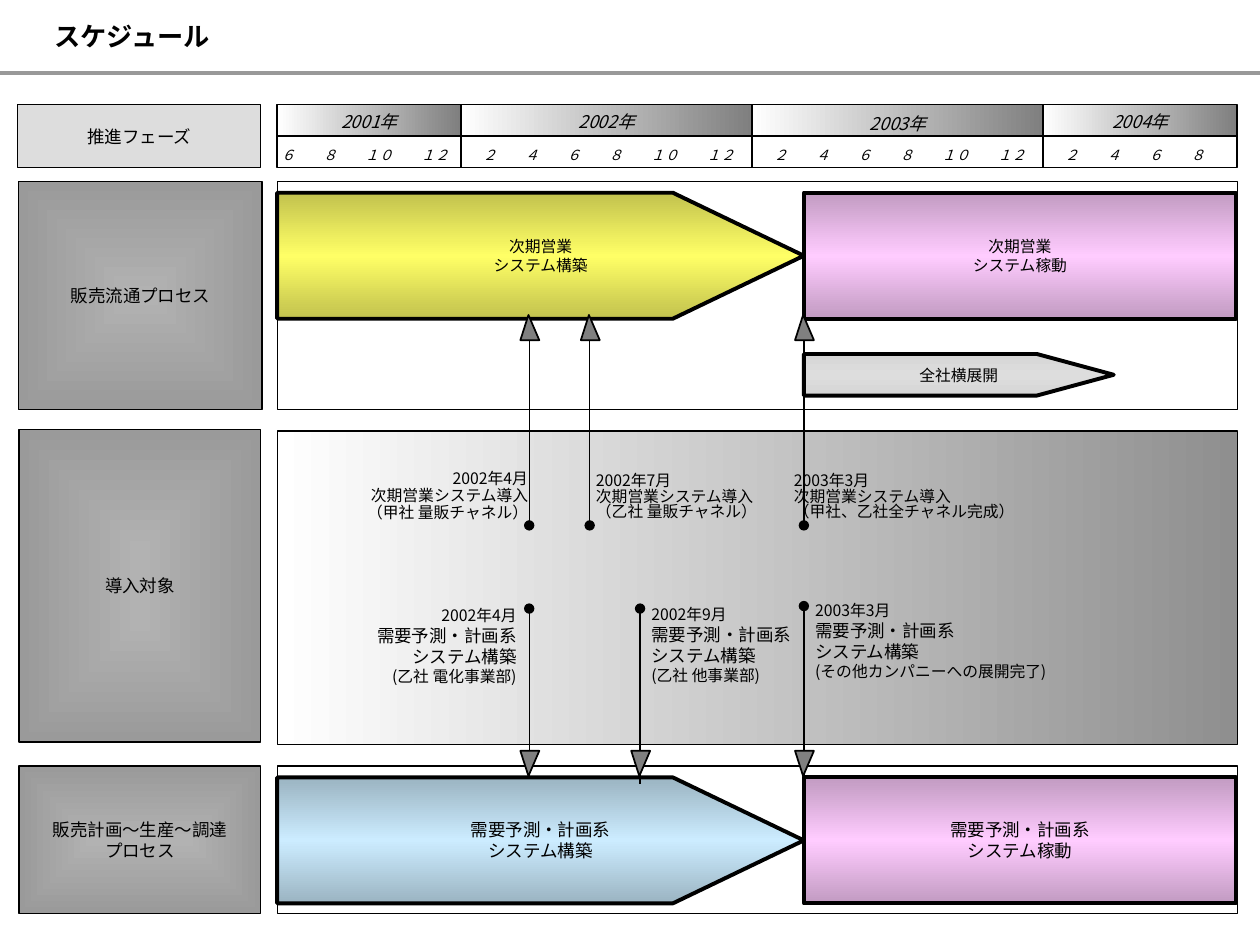
"""Build the schedule slide: phases, rollout targets and milestones on a 2001-2004 time axis."""
from dataclasses import dataclass
from typing import Optional

from lxml.etree import SubElement
from pptx import Presentation
from pptx.dml.color import RGBColor
from pptx.enum.shapes import MSO_CONNECTOR as Connector, MSO_SHAPE as Preset
from pptx.enum.text import MSO_ANCHOR as Anchor, MSO_AUTO_SIZE as AutoSize, PP_ALIGN as Align
from pptx.oxml.ns import qn
from pptx.util import Inches, Pt


@dataclass(frozen=True)
class Fill:
    colours: tuple[str, ...]
    angle: int = 0
    from_centre: bool = False


@dataclass(frozen=True)
class Theme:
    sans: str = "Noto Sans CJK JP"
    serif: str = "Times New Roman"
    ink: str = "000000"
    rule: str = "999999"
    white: Fill = Fill(("FFFFFF",))
    phase: Fill = Fill(("DDDDDD",))
    marker: Fill = Fill(("808080",))
    year: Fill = Fill(("FFFFFF", "7F7F7F"))
    target: Fill = Fill(("FFFFFF", "8F8F8F"))
    process: Fill = Fill(("B2B2B2", "9A9A9A"), from_centre=True)
    running: Fill = Fill(("C29BC2", "FFCCFF", "C29BC2"), 90)
    sales: Fill = Fill(("C2C24E", "FFFF66", "C2C24E"), 90)
    demand: Fill = Fill(("9BB4C2", "CCECFF", "9BB4C2"), 90)
    rollout: Fill = Fill(("D6D6D6", "DDDDDD", "D6D6D6"), 90)
    title_size: float = 15
    large: float = 10
    small: float = 9
    month: float = 8
    thin: float = 0.75
    cell: float = 1
    thick: float = 2.25


THEME = Theme()
AXIS_LEFT, AXIS_WIDTH, GO_LIVE = 2.2, 7.62, 6.38
MARGINS = (0.09, 0.05, 0.09, 0.05)


@dataclass(frozen=True)
class Box:
    left: float
    top: float
    width: float
    height: float
    fill: Fill
    lines: tuple[str, ...] = ()
    size: float = THEME.large
    border: float = THEME.thin
    shoulder: Optional[float] = None


@dataclass(frozen=True)
class Year:
    name: str
    left: float
    width: float
    months: tuple[str, ...]
    indent: float = 0.17
    height: float = 0.25


@dataclass(frozen=True)
class Label:
    left: float
    top: float
    width: float
    height: float
    lines: tuple[str, ...]
    sizes: tuple[float, ...]
    spacings: tuple[float, ...]
    align: Align = Align.LEFT


@dataclass(frozen=True)
class Milestone:
    x: float
    dot: float
    tip: float
    upward: bool


UPPER_SIZES = (THEME.small,) * 3
LOWER_SIZES = (THEME.small, THEME.large, THEME.large, THEME.small)
UPPER_SPACING, LOWER_SPACING = (1, 0.8, 0.8), (0.9, 1, 1, 1)

BOXES = (
    Box(AXIS_LEFT, 1.44, AXIS_WIDTH, 1.81, THEME.white),
    Box(AXIS_LEFT, 3.42, AXIS_WIDTH, 2.49, THEME.target),
    Box(AXIS_LEFT, 6.08, AXIS_WIDTH, 1.17, THEME.white),
    Box(0.14, 0.83, 1.93, 0.5, THEME.phase, ("推進フェーズ",)),
    Box(0.15, 1.44, 1.93, 1.81, THEME.process, ("販売流通プロセス",)),
    Box(0.15, 3.41, 1.92, 2.48, THEME.process, ("導入対象",)),
    Box(0.15, 6.08, 1.92, 1.17, THEME.process, ("販売計画～生産～調達", "プロセス")),
    Box(GO_LIVE, 1.53, 3.43, 1, THEME.running, ("次期営業", "システム稼動"), THEME.small, THEME.thick),
    Box(GO_LIVE, 6.17, 3.43, 1, THEME.running, ("需要予測・計画系", "システム稼動"), border=THEME.thick),
    Box(AXIS_LEFT, 6.17, 4.18, 1, THEME.demand, ("需要予測・計画系", "システム構築"),
        border=THEME.thick, shoulder=3.14),
    Box(AXIS_LEFT, 1.53, 4.18, 1, THEME.sales, ("次期営業", "システム構築"),
        THEME.small, THEME.thick, 3.14),
    Box(GO_LIVE, 2.81, 2.46, 0.33, THEME.rollout, ("全社横展開",), THEME.small, THEME.thick, 1.85),
)
FULL_YEAR = ("２", "４", "６", "８", "１０", "１２")
YEARS = (
    Year("2001年", AXIS_LEFT, 1.46, ("６", "８", "１０", "１２"), 0.03),
    Year("2002年", 3.66, 2.31, FULL_YEAR),
    Year("2003年", 5.97, 2.31, FULL_YEAR, height=0.28),
    Year("2004年", 8.28, 1.54, FULL_YEAR[:4]),
)
LABELS = (
    Label(2.69, 3.69, 1.59, 0.5, ("2002年4月", "次期営業システム導入", "（甲社 量販チャネル）"),
          UPPER_SIZES, (0.9,) * 3, Align.RIGHT),
    Label(4.64, 3.69, 1.53, 0.49, ("2002年7月", "次期営業システム導入", "（乙社 量販チャネル）"),
          UPPER_SIZES, UPPER_SPACING),
    Label(6.21, 3.69, 2.12, 0.49, ("2003年3月", "次期営業システム導入", "（甲社、乙社全チャネル完成）"),
          UPPER_SIZES, UPPER_SPACING),
    Label(2.75, 4.78, 1.44, 0.71, ("2002年4月", "需要予測・計画系", "システム構築", "(乙社 電化事業部)"),
          LOWER_SIZES, LOWER_SPACING, Align.RIGHT),
    Label(5.08, 4.77, 1.46, 0.71, ("2002年9月", "需要予測・計画系", "システム構築", "(乙社 他事業部)"),
          LOWER_SIZES, LOWER_SPACING),
    Label(GO_LIVE, 4.74, 2.37, 0.71,
          ("2003年3月", "需要予測・計画系", "システム構築", "(その他カンパニーへの展開完了)"),
          LOWER_SIZES, LOWER_SPACING),
)
MILESTONES = (
    *(Milestone(x, 4.17, 2.69, True) for x in (4.2, 4.68, GO_LIVE)),
    Milestone(4.2, 4.83, 6.18, False),
    Milestone(5.08, 4.83, 6.22, False),
    Milestone(GO_LIVE, 4.81, 6.22, False),
)


def style_paragraph(paragraph, size, face=THEME.sans, align=Align.CENTER, spacing=1.0, **emphasis) -> None:
    """Set alignment, line spacing and font of one paragraph."""
    paragraph.alignment, paragraph.line_spacing = align, spacing
    font = paragraph.font
    font.size, font.name = Pt(size), face
    font.color.rgb = RGBColor.from_string(THEME.ink)
    for trait, value in emphasis.items():
        setattr(font, trait, value)
    defaults = paragraph._p.pPr.find(qn("a:defRPr"))
    SubElement(defaults, qn("a:ea"), typeface=THEME.sans)


def set_frame(frame, margins=(0, 0, 0, 0), anchor=Anchor.MIDDLE) -> None:
    """Set insets, wrapping and anchor of a text frame."""
    frame.word_wrap, frame.auto_size, frame.vertical_anchor = True, AutoSize.NONE, anchor
    frame.margin_left, frame.margin_top, frame.margin_right, frame.margin_bottom = map(Inches, margins)


def paint(shape, fill: Fill, border: float) -> None:
    """Give a shape its outline and its solid or gradient fill."""
    shape.shadow.inherit = False
    shape.line.color.rgb, shape.line.width = RGBColor.from_string(THEME.ink), Pt(border)
    shape.fill.solid()
    shape.fill.fore_color.rgb = RGBColor.from_string(fill.colours[0])
    if len(fill.colours) == 1:
        return
    properties = shape._element.spPr
    solid = properties.find(qn("a:solidFill"))
    gradient = SubElement(properties, qn("a:gradFill"), rotWithShape="1")
    properties.replace(solid, gradient)
    stops = SubElement(gradient, qn("a:gsLst"))
    for index, colour in enumerate(fill.colours):
        position = index * 100000 // (len(fill.colours) - 1)
        stop = SubElement(stops, qn("a:gs"), pos=str(position))
        SubElement(stop, qn("a:srgbClr"), val=colour)
    if fill.from_centre:
        shade = SubElement(gradient, qn("a:path"), path="rect")
        SubElement(shade, qn("a:fillToRect"), {side: "50000" for side in "ltrb"})
    else:
        SubElement(gradient, qn("a:lin"), ang=str(fill.angle * 60000), scaled="0")


def draw_box(slide, box: Box):
    """Draw a rectangle, or an arrow band when a shoulder is given, with centred lines."""
    left, top, width, height = map(Inches, (box.left, box.top, box.width, box.height))
    if box.shoulder is None:
        shape = slide.shapes.add_shape(Preset.RECTANGLE, left, top, width, height)
    else:
        neck = left + Inches(box.shoulder)
        outline = slide.shapes.build_freeform(left, top)
        outline.add_line_segments([(neck, top), (left + width, top + height // 2),
                                   (neck, top + height), (left, top + height)])
        shape = outline.convert_to_shape()
    paint(shape, box.fill, box.border)
    set_frame(shape.text_frame)
    if box.lines:
        shape.text_frame.text = "\n".join(box.lines)
        for paragraph in shape.text_frame.paragraphs:
            style_paragraph(paragraph, box.size, THEME.serif)
    return shape


def draw_year(slide, year: Year) -> None:
    """Draw the shaded year heading and the month scale below it."""
    heading = draw_box(slide, Box(year.left, 0.83, year.width, year.height, THEME.year, border=THEME.cell))
    paragraph = heading.text_frame.paragraphs[0]
    paragraph.text = year.name
    style_paragraph(paragraph, THEME.large, spacing=1.1, italic=True)

    scale = draw_box(slide, Box(year.left, 1.08, year.width, 0.25, THEME.white, border=THEME.cell))
    set_frame(scale.text_frame, (0, 0.03, 0, 0))
    paragraph = scale.text_frame.paragraphs[0]
    paragraph.text = "\t" + "\t".join(year.months)
    tabs = SubElement(paragraph._p.get_or_add_pPr(), qn("a:tabLst"))
    offset = year.indent
    for month in year.months:
        SubElement(tabs, qn("a:tab"), pos=str(Inches(offset)), algn="l")
        offset += (len(month) + 2) * THEME.month / 72
    style_paragraph(paragraph, THEME.month, align=Align.LEFT, spacing=1.1, italic=True)


def draw_label(slide, label: Label) -> None:
    """Write one milestone description."""
    frame = slide.shapes.add_textbox(*map(Inches, (label.left, label.top, label.width, label.height))).text_frame
    set_frame(frame, MARGINS)
    frame.text = "\n".join(label.lines)
    for paragraph, size, spacing in zip(frame.paragraphs, label.sizes, label.spacings):
        style_paragraph(paragraph, size, align=label.align, spacing=spacing)


def draw_line(slide, start: tuple, end: tuple, colour: str, width: float, dotted_start: bool = False) -> None:
    """Draw a straight line, with a round dot at its start on request."""
    line = slide.shapes.add_connector(Connector.STRAIGHT, *map(Inches, (*start, *end)))
    line.line.color.rgb, line.line.width = RGBColor.from_string(colour), Pt(width)
    if dotted_start:
        SubElement(line.line._get_or_add_ln(), qn("a:headEnd"), type="oval")
    SubElement(line._element.spPr, qn("a:effectLst"))


def draw_milestone(slide, milestone: Milestone) -> None:
    """Draw the line from a milestone dot to its triangular pointer."""
    draw_line(slide, (milestone.x, milestone.dot), (milestone.x, milestone.tip), THEME.ink, THEME.thin, True)
    top = 2.5 if milestone.upward else 5.96
    pointer = slide.shapes.add_shape(Preset.ISOSCELES_TRIANGLE, *map(Inches, (milestone.x - 0.07, top, 0.15, 0.2)))
    pointer.adjustments[0] = 0.43
    paint(pointer, THEME.marker, THEME.cell)
    if not milestone.upward:
        pointer._element.spPr.xfrm.set("flipV", "1")


def main() -> None:
    """Assemble and save the slide."""
    deck = Presentation()
    deck.slide_width, deck.slide_height = Inches(10), Inches(7.5)
    slide = deck.slides.add_slide(deck.slide_layouts[5])
    title = slide.shapes.title
    title.left, title.top, title.width, title.height = map(Inches, (0.34, 0.1, 9.43, 0.36))
    title.text_frame.text = "スケジュール"
    set_frame(title.text_frame, MARGINS, Anchor.BOTTOM)
    style_paragraph(title.text_frame.paragraphs[0], THEME.title_size, align=Align.LEFT, bold=True)
    draw_line(slide, (0, 0.58), (10, 0.58), THEME.rule, 2.5)
    for draw, items in ((draw_box, BOXES), (draw_year, YEARS), (draw_label, LABELS),
                        (draw_milestone, MILESTONES)):
        for item in items:
            draw(slide, item)
    deck.save("out.pptx")


if __name__ == "__main__":
    main()
